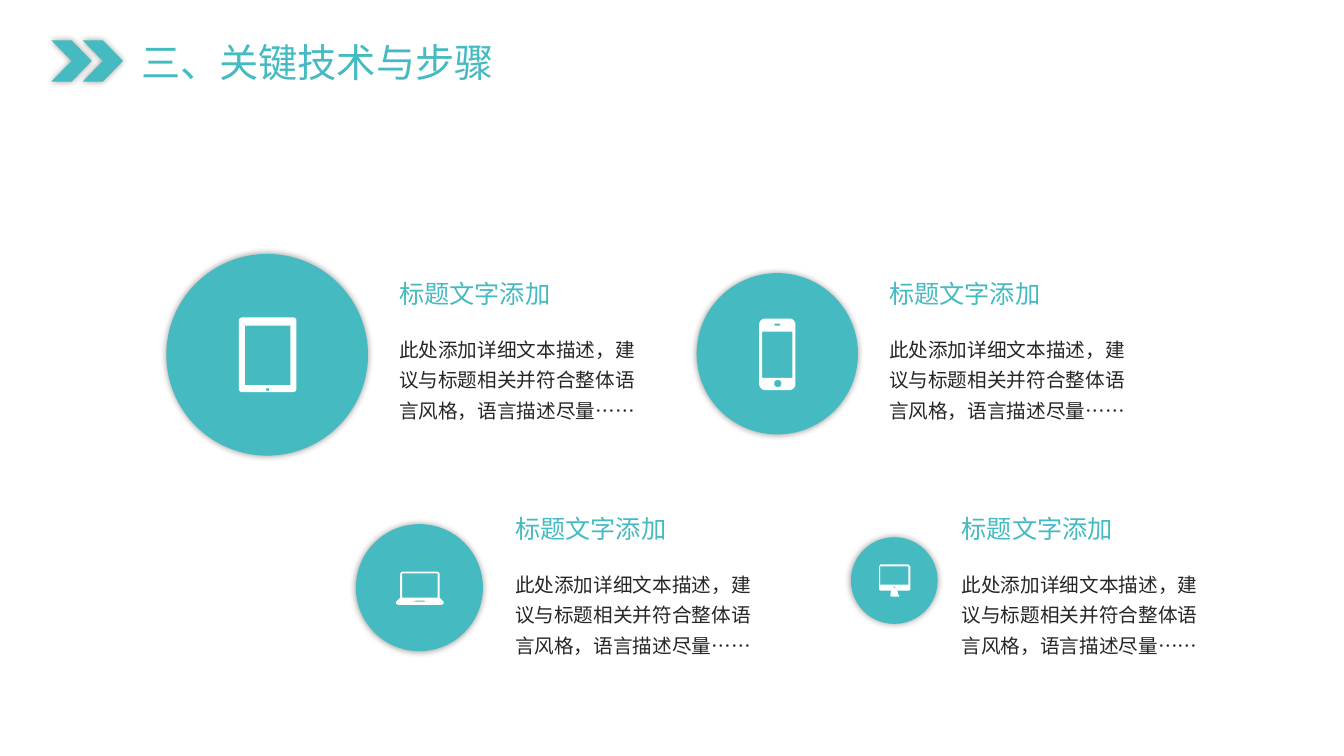
"""Build the slide on key technologies and steps: four device discs with captions."""
from math import cos, pi, sin

from lxml import etree
from pptx import Presentation
from pptx.dml.color import RGBColor
from pptx.enum.shapes import MSO_SHAPE
from pptx.enum.text import MSO_ANCHOR, MSO_AUTO_SIZE, PP_ALIGN
from pptx.oxml.ns import qn
from pptx.util import Inches, Pt

CHEVRON, DISC = MSO_SHAPE.CHEVRON, MSO_SHAPE.OVAL
TOP, LEFT = MSO_ANCHOR.TOP, PP_ALIGN.LEFT
GROW = MSO_AUTO_SIZE.SHAPE_TO_FIT_TEXT
COLORS = {"teal": "45BBC1", "ink": "262626", "white": "FFFFFF", "shadow": "000000"}
HEAD_FONT, BODY_FONT = "Noto Sans CJK JP", "Noto Sans CJK SC"
HEADING = "标题文字添加"
DESCRIPTION = "此处添加详细文本描述，建议与标题相关并符合整体语言风格，语言描述尽量……"


def write(box, text, size, font_name, color, wrap=True, spacing=1.0):
    """Fill a box with one formatted paragraph."""
    frame = box.text_frame
    frame.text = text
    frame.word_wrap = wrap
    frame.auto_size = GROW
    frame.vertical_anchor = TOP
    para = frame.paragraphs[0]
    para.alignment = LEFT
    para.line_spacing = spacing
    font = para.font
    font.size = Pt(size)
    font.name = font_name
    font.color.rgb = RGBColor.from_string(COLORS[color])
    east_asian = etree.SubElement(font._element, qn("a:ea"))
    east_asian.set("typeface", font_name)


def round_rect(left, top, width, height, radius=0.0):
    """Return the corner points of a rectangle, rounded when a radius is given."""
    steps = 6 if radius else 0
    right, bottom = left + width - radius, top + height - radius
    corners = [(right, bottom), (left + radius, bottom),
               (left + radius, top + radius), (right, top + radius)]
    points = []
    for quarter, (x, y) in enumerate(corners):
        for step in range(steps + 1):
            angle = pi / 2 * (quarter + step / max(steps, 1))
            points.append((x + radius * cos(angle), y + radius * sin(angle)))
    return points


TABLET = [round_rect(-0.28, -0.37, 0.57, 0.74, 0.03),
          round_rect(-0.22, -0.29, 0.45, 0.59),
          round_rect(-0.01, 0.33, 0.03, 0.03, 0.01)]
PHONE = [round_rect(-0.18, -0.35, 0.36, 0.71, 0.06),
         round_rect(-0.15, -0.22, 0.3, 0.46),
         round_rect(-0.03, -0.3, 0.06, 0.02, 0.01),
         round_rect(-0.03, 0.26, 0.07, 0.07, 0.03)]
LAPTOP = [[(-0.17, -0.16), (0.18, -0.16), (0.2, -0.14), (0.2, 0.1), (0.24, 0.14),
           (0.24, 0.16), (0.22, 0.17), (-0.21, 0.17), (-0.23, 0.16),
           (-0.23, 0.14), (-0.19, 0.1), (-0.19, -0.14)],
          round_rect(-0.17, -0.14, 0.35, 0.24),
          [(-0.04, 0.13), (0.05, 0.13), (0.07, 0.14), (-0.06, 0.14)]]
MONITOR = [[(-0.14, -0.16), (0.14, -0.16), (0.16, -0.14), (0.16, 0.09),
            (0.14, 0.1), (0.03, 0.1), (0.04, 0.14), (0.05, 0.15), (0.04, 0.16),
            (-0.03, 0.16), (-0.04, 0.15), (-0.04, 0.14), (-0.03, 0.1),
            (-0.14, 0.1), (-0.15, 0.09), (-0.15, -0.14)],
           round_rect(-0.14, -0.14, 0.28, 0.18),
           round_rect(-0.01, 0.06, 0.02, 0.01)]

UPPER_ROW, LOWER_ROW = 2.71, 5.04
DEVICES = [
    (TABLET, 2.65, 3.52, 1.0, 3.86, UPPER_ROW),
    (PHONE, 7.71, 3.51, 0.8, 8.72, UPPER_ROW),
    (MONITOR, 8.87, 5.76, 0.43, 9.44, LOWER_ROW),
    (LAPTOP, 4.16, 5.83, 0.63, 5.01, LOWER_ROW),
]

deck = Presentation()
deck.slide_width, deck.slide_height = Inches(13.33), Inches(7.5)
page = deck.slides.add_slide(deck.slide_layouts[5])

title = page.shapes.title
title.left, title.top = Inches(1.3), Inches(0.33)
title.width, title.height = Inches(3.74), Inches(0.57)
write(title, "三、关键技术与步骤", 28, HEAD_FONT, "teal", wrap=False)

accents = [(CHEVRON, 0.51 + 0.31 * column, 0.4, 0.4, 0.41) for column in range(2)]
accents += [(DISC, x - radius, y - radius, 2 * radius, 2 * radius)
            for _, x, y, radius, _, _ in DEVICES]
for kind, *bounds in accents:
    accent = page.shapes.add_shape(kind, *map(Inches, bounds))
    accent.fill.solid()
    accent.fill.fore_color.rgb = RGBColor.from_string(COLORS["teal"])
    accent.line.fill.background()
    accent.shadow.inherit = False
    effects = accent._element.spPr.find(qn("a:effectLst"))
    shadow = etree.SubElement(effects, qn("a:outerShdw"), blurRad=str(Pt(5)),
                              dist="0", dir="0", algn="ctr", rotWithShape="0")
    shade = etree.SubElement(shadow, qn("a:srgbClr"), val=COLORS["shadow"])
    etree.SubElement(shade, qn("a:alpha"), val="40000")

for contours, x, y, radius, text_left, text_top in DEVICES:
    outlines = [[(Inches(x + dx), Inches(y + dy)) for dx, dy in contour]
                for contour in contours]
    builder = page.shapes.build_freeform(*outlines[0][0])
    builder.add_line_segments(outlines[0][1:])
    for hole in outlines[1:]:
        builder.move_to(*hole[0])
        builder.add_line_segments(hole[1:])
    icon = builder.convert_to_shape()
    icon.fill.solid()
    icon.fill.fore_color.rgb = RGBColor.from_string(COLORS["white"])
    icon.line.fill.background()
    icon.shadow.inherit = False

    caption = page.shapes.add_group_shape()
    description = caption.shapes.add_textbox(
        Inches(text_left), Inches(text_top + 0.52), Inches(2.6), Inches(1.02))
    write(description, DESCRIPTION, 14, BODY_FONT, "ink", spacing=1.3)
    heading = caption.shapes.add_textbox(
        Inches(text_left), Inches(text_top), Inches(2.45), Inches(0.4))
    write(heading, HEADING, 18, HEAD_FONT, "teal")

deck.save("out.pptx")
